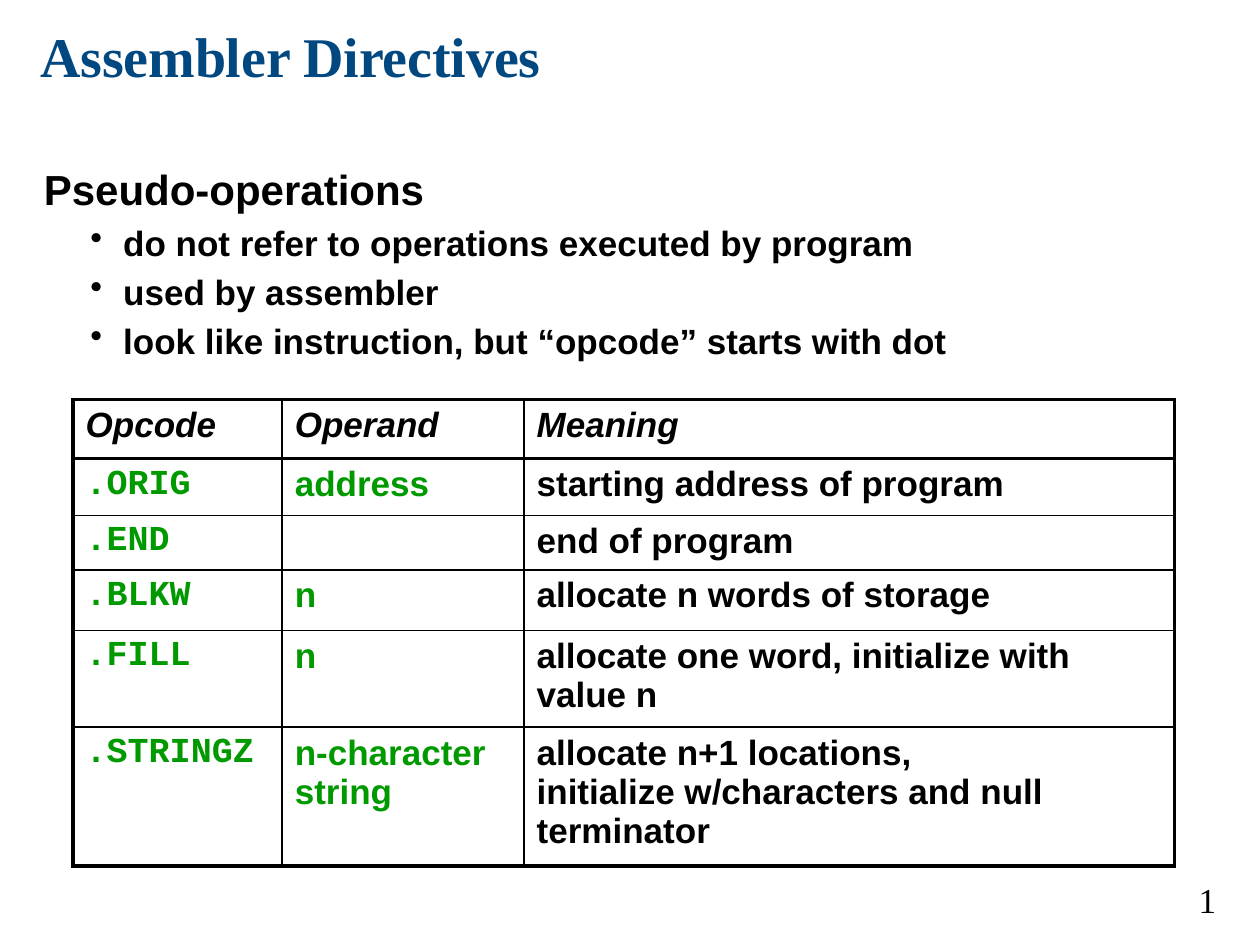
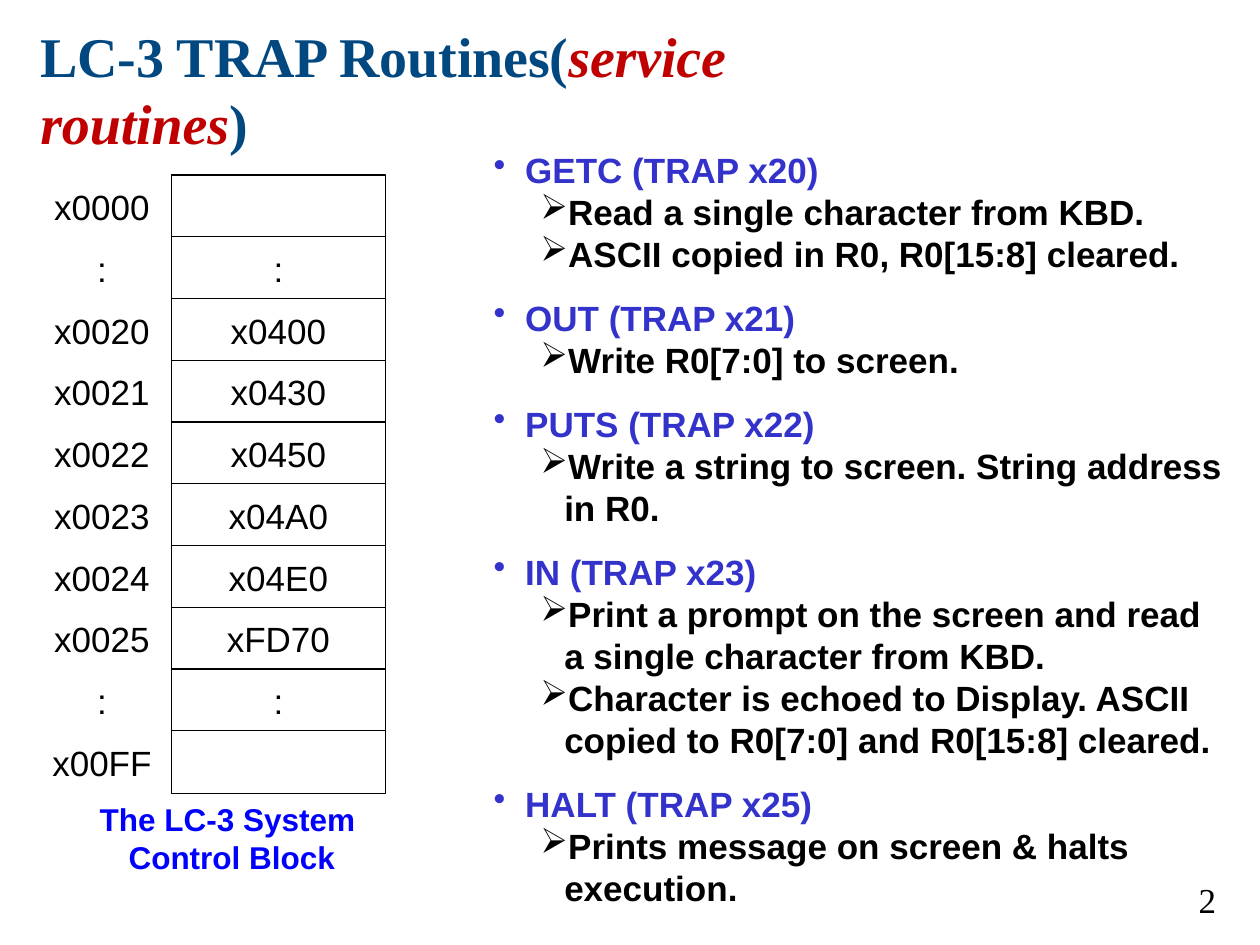
from lxml.etree import SubElement
from pptx import Presentation
from pptx.dml.color import RGBColor
from pptx.enum.shapes import MSO_SHAPE
from pptx.enum.text import MSO_ANCHOR, MSO_AUTO_SIZE, PP_ALIGN
from pptx.oxml.ns import qn
from pptx.util import Inches, Pt

BLACK, WHITE = "000000", "FFFFFF"
NAVY, RED, GREEN = "014880", "C00000", "009900"
INDIGO, BLUE = "3333CC", "0000FF"
SANS, MONO, SERIF = "Arial", "Courier New", "Times New Roman"
LEADING = 1.2
THICK, THIN = 2.25, 1


def rgb(value):
    """Turn a hex string into a colour."""
    return RGBColor.from_string(value)


def inches(*lengths):
    """Convert several lengths from inches."""
    return [Inches(length) for length in lengths]


def style_run(run, size, color=BLACK, font=SANS, bold=False, italic=False):
    """Format one run."""
    run.font.size = Pt(size)
    run.font.name = font
    run.font.bold = bold
    run.font.italic = italic
    run.font.color.rgb = rgb(color)


def set_bullet(paragraph, char, margin, hanging):
    """Give a paragraph a bullet with a hanging indent."""
    properties = paragraph._p.get_or_add_pPr()
    properties.set("marL", str(Inches(margin)))
    properties.set("indent", str(-Inches(hanging)))
    SubElement(properties, qn("a:buChar"), char=char)


def set_border(cell, side, width):
    """Draw one side (L, R, T or B) of a table cell in black."""
    line = SubElement(cell._tc.get_or_add_tcPr(), qn("a:ln" + side),
                      w=str(Pt(width)))
    fill = SubElement(line, qn("a:solidFill"))
    SubElement(fill, qn("a:srgbClr"), val=BLACK)


class Deck:
    """Holds the presentation, its style and the current slide."""

    def __init__(self):
        """Start a 4:3 presentation."""
        self.presentation = Presentation()
        self.presentation.slide_width = Inches(10)
        self.presentation.slide_height = Inches(7.5)
        self.slide = None

    def start_slide(self, title_parts, title_height):
        """Add a slide with a title of (text, color, italic) parts."""
        layout = self.presentation.slide_layouts[5]
        self.slide = self.presentation.slides.add_slide(layout)
        title = self.slide.shapes.title
        title.left, title.top, title.width, title.height = inches(
            0.32, 0.17, 7.07, title_height)
        frame = title.text_frame
        frame.margin_left = frame.margin_right = 0
        frame.margin_top = frame.margin_bottom = 0
        frame.vertical_anchor = MSO_ANCHOR.TOP
        frame.auto_size = MSO_AUTO_SIZE.NONE
        frame.word_wrap = True
        heading = frame.paragraphs[0]
        heading.alignment = PP_ALIGN.LEFT
        heading.line_spacing = Pt(32 * LEADING)
        for text, color, italic in title_parts:
            run = heading.add_run()
            run.text = text
            style_run(run, 32, color, SERIF, True, italic)
            run.font._element.set("spc", "-10")
        self.page_number()

    def text_box(self, box, shapes=None):
        """Add a wrapping text box and return its text frame."""
        shapes = shapes or self.slide.shapes
        frame = shapes.add_textbox(*inches(*box)).text_frame
        frame.word_wrap = True
        return frame

    def line(self, frame, text, size=20, color=BLACK, font=SANS, bold=True,
             before=0, align=PP_ALIGN.LEFT, bullet=None):
        """Write the next paragraph of a text frame."""
        paragraph = frame.paragraphs[-1]
        if paragraph.runs:
            paragraph = frame.add_paragraph()
        paragraph.text = text
        paragraph.alignment = align
        paragraph.line_spacing = Pt(size * LEADING)
        paragraph.space_before = Pt(before)
        if bullet:
            set_bullet(paragraph, *bullet)
        style_run(paragraph.runs[0], size, color, font, bold)
        return paragraph

    def page_number(self):
        """Put the slide number field at the bottom right."""
        frame = self.text_box((7.17, 6.92, 2.58, 0.42))
        number = str(len(self.presentation.slides))
        paragraph = self.line(frame, number, font=SERIF, bold=False,
                              align=PP_ALIGN.RIGHT)
        run = paragraph.runs[0]._r
        field = SubElement(paragraph._p, qn("a:fld"), type="slidenum",
                           id="{B6F15528-21DE-4FAA-801E-634DDDAF4B2B}")
        for part in list(run):
            field.append(part)
        paragraph._p.remove(run)

    def table(self, box, widths, heights, rows):
        """Add a table with a thick frame and a thick line under its header."""
        table = self.slide.shapes.add_table(
            len(rows), len(widths), *inches(*box)).table
        table.first_row = table.horz_banding = False
        for column, width in zip(table.columns, widths):
            column.width = Inches(width)
        for table_row, height in zip(table.rows, heights):
            table_row.height = Inches(height)
        last_row, last_column = len(rows) - 1, len(widths) - 1
        for r, row in enumerate(rows):
            for c, text in enumerate(row):
                cell = table.cell(r, c)
                set_border(cell, "L", THICK if c == 0 else THIN)
                set_border(cell, "R", THICK if c == last_column else THIN)
                set_border(cell, "T", THICK if r <= 1 else THIN)
                set_border(cell, "B", THICK if r in (0, last_row) else THIN)
                cell.fill.background()
                cell.text_frame.text = text
                header = r == 0
                color = BLACK if header or c == last_column else GREEN
                font = MONO if c == 0 and not header else SANS
                for run in cell.text_frame.paragraphs[0].runs:
                    style_run(run, 20, color, font, True, header)

    def memory_cell(self, shapes, box, text, outlined):
        """Add one white rectangle of the memory map."""
        cell = shapes.add_shape(MSO_SHAPE.RECTANGLE, *inches(*box))
        cell.shadow.inherit = False
        cell.fill.solid()
        cell.fill.fore_color.rgb = rgb(WHITE)
        if outlined:
            cell.line.color.rgb = rgb(BLACK)
            cell.line.width = Pt(0.75)
        else:
            cell.line.fill.background()
        if text:
            cell.text_frame.word_wrap = False
            cell.text_frame.vertical_anchor = MSO_ANCHOR.MIDDLE
            self.line(cell.text_frame, text, bold=False,
                      align=PP_ALIGN.CENTER)

    def memory_map(self, entries, caption):
        """Stack address and content cells above a caption, in one group."""
        shapes = self.slide.shapes.add_group_shape().shapes
        for index, (address, content) in enumerate(entries):
            top = 1.39 + 0.49 * index
            self.memory_cell(shapes, (0.26, top, 1.1, 0.5), address, False)
            self.memory_cell(shapes, (1.36, top, 1.7, 0.5), content, True)
        frame = self.text_box((0.43, 6.3, 2.82, 0.71), shapes)
        for text in caption:
            self.line(frame, text, 18, BLUE, align=PP_ALIGN.CENTER)


def directives_slide(deck):
    """Build the slide on assembler directives."""
    deck.start_slide([("Assembler Directives", NAVY, False)], 0.54)
    body = deck.text_box((0.25, 1.25, 9.5, 1.78))
    deck.line(body, "Pseudo-operations", 24)
    for text in ("do not refer to operations executed by program",
                 "used by assembler",
                 "look like instruction, but “opcode” starts with dot"):
        deck.line(body, text, before=4, bullet=("•", 0.63, 0.26))
    deck.table(
        (0.58, 3.17, 8.74, 3.58),
        (1.66, 1.92, 5.16),
        (0.47, 0.45, 0.42, 0.48, 0.72, 1.04),
        [("Opcode", "Operand", "Meaning"),
         (".ORIG", "address", "starting address of program"),
         (".END", "", "end of program"),
         (".BLKW", "n", "allocate n words of storage"),
         (".FILL", "n", "allocate one word, initialize with value n"),
         (".STRINGZ", "n-character \vstring",
          "allocate n+1 locations, \v"
          "initialize w/characters and null terminator")])


def trap_slide(deck):
    """Build the slide on TRAP routines."""
    deck.start_slide([("LC-3 TRAP Routines(", NAVY, False),
                      ("service routines", RED, True),
                      (")", NAVY, False)], 1.08)
    routines = {
        "GETC (TRAP x20)": ["Read a single character from KBD.",
                            "ASCII copied in R0, R0[15:8] cleared."],
        "OUT (TRAP x21)": ["Write R0[7:0] to screen."],
        "PUTS (TRAP x22)": ["Write a string to screen. "
                            "String address in R0."],
        "IN (TRAP x23)": ["Print a prompt on the screen and read "
                          "a single character from KBD.",
                          "Character is echoed to Display. ASCII "
                          "copied to R0[7:0] and R0[15:8] cleared."],
        "HALT (TRAP x25)": ["Prints message on screen & halts execution."],
    }
    body = deck.text_box((3.69, 1.13, 6.17, 6.08))
    gap = 0
    for routine, effects in routines.items():
        deck.line(body, routine, color=INDIGO, before=gap,
                  bullet=("•", 0.38, 0.25))
        for effect in effects:
            deck.line(body, effect, bullet=("➢", 0.69, 0.19))
        gap = 12.5
    deck.memory_map(
        [("x0000", ""), (":", ":"), ("x0020", "x0400"), ("x0021", "x0430"),
         ("x0022", "x0450"), ("x0023", "x04A0"), ("x0024", "x04E0"),
         ("x0025", "xFD70"), (":", ":"), ("x00FF", "")],
        ("The LC-3 System ", "Control Block"))


def main():
    """Build both slides and save them."""
    deck = Deck()
    directives_slide(deck)
    trap_slide(deck)
    deck.presentation.save("out.pptx")


main()
